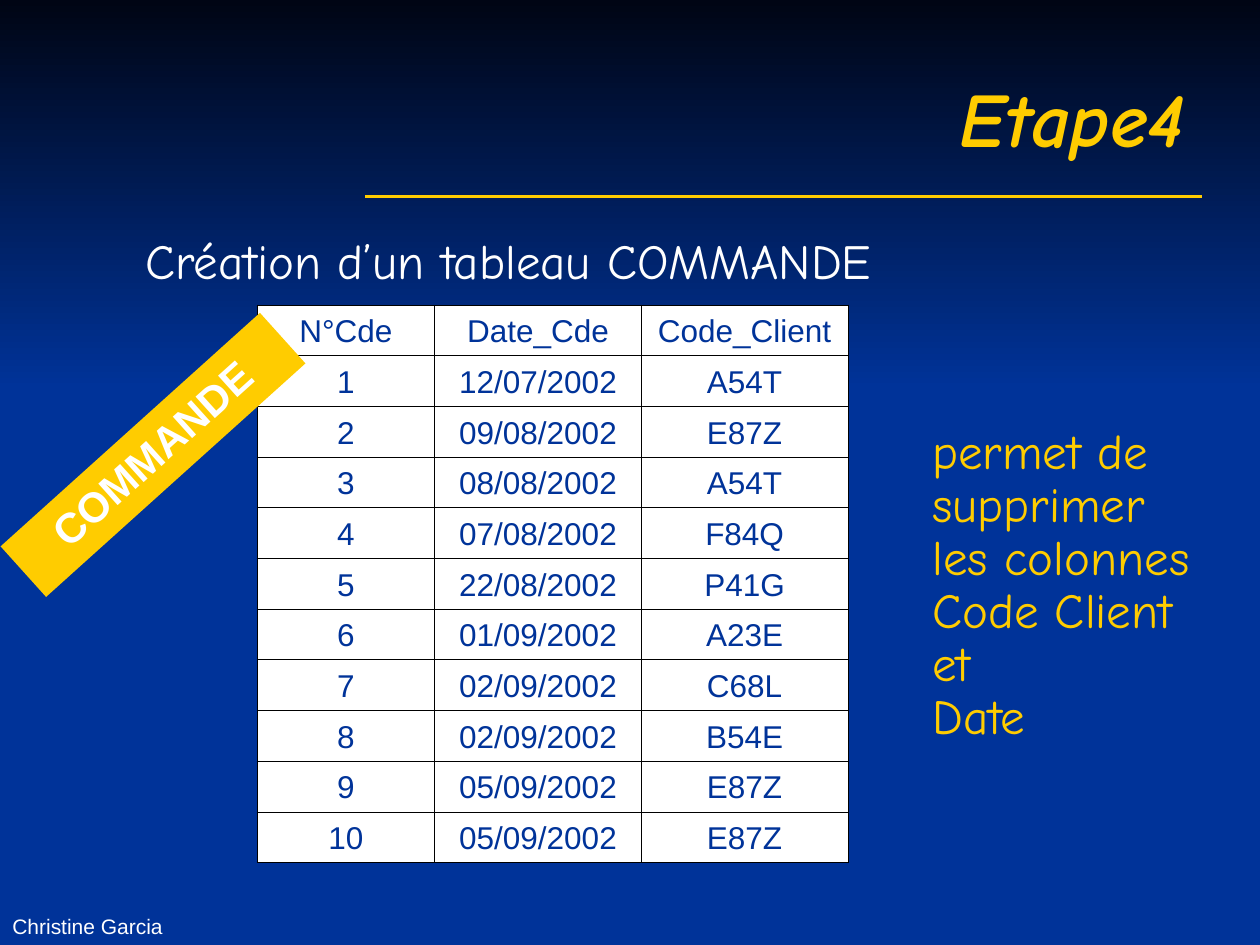
from dataclasses import dataclass

from lxml.etree import SubElement
from pptx import Presentation
from pptx.dml.color import RGBColor
from pptx.enum.shapes import MSO_CONNECTOR, MSO_SHAPE
from pptx.enum.text import MSO_ANCHOR, PP_ALIGN
from pptx.oxml.ns import qn
from pptx.util import Inches, Pt


@dataclass(frozen=True)
class Theme:
    night: RGBColor = RGBColor.from_string("000514")
    blue: RGBColor = RGBColor.from_string("003399")
    gold: RGBColor = RGBColor.from_string("FFCC00")
    white: RGBColor = RGBColor.from_string("FFFFFF")
    border: str = "000000"
    border_width: Pt = Pt(0.45)
    hand: str = "Comic Neue"
    plain: str = "Arial"
    title: Pt = Pt(44)
    body: Pt = Pt(28)
    label: Pt = Pt(24)
    cell: Pt = Pt(18)
    footer: Pt = Pt(12)


THEME = Theme()

ORDERS = [
    ("N°Cde", "Date_Cde", "Code_Client"),
    ("1", "12/07/2002", "A54T"),
    ("2", "09/08/2002", "E87Z"),
    ("3", "08/08/2002", "A54T"),
    ("4", "07/08/2002", "F84Q"),
    ("5", "22/08/2002", "P41G"),
    ("6", "01/09/2002", "A23E"),
    ("7", "02/09/2002", "C68L"),
    ("8", "02/09/2002", "B54E"),
    ("9", "05/09/2002", "E87Z"),
    ("10", "05/09/2002", "E87Z"),
]
COLUMN_WIDTHS = (1.41, 1.64, 1.64)
ADVICE = "\v".join(
    ["permet de", "supprimer", "les colonnes", "Code Client", "et", "Date"]
)


def set_values(target, values):
    for name, value in values.items():
        setattr(target, name, value)


def write_text(frame, text, color, font, paragraph=None):
    para = frame.paragraphs[0]
    para.text = text
    set_values(para, paragraph or {})
    for span in para.runs:
        set_values(span.font, font)
        span.font.color.rgb = color


def add_text(page, bounds, text, color, font, paragraph=None, frame=None):
    box = page.shapes.add_textbox(*map(Inches, bounds))
    set_values(box.text_frame, {"word_wrap": True, **(frame or {})})
    write_text(box.text_frame, text, color, font, paragraph)


def add_rectangle(page, bounds):
    box = page.shapes.add_shape(MSO_SHAPE.RECTANGLE, *map(Inches, bounds))
    box.shadow.inherit = False
    box.line.fill.background()
    return box


def add_backdrop(page):
    page.background.fill.solid()
    page.background.fill.fore_color.rgb = THEME.blue
    fill = add_rectangle(page, (0, 0, 10, 3.09)).fill
    fill.gradient()
    fill.gradient_angle = 270
    for stop, color, position in zip(
        fill.gradient_stops, (THEME.night, THEME.blue), (0, 1)
    ):
        stop.color.rgb = color
        stop.position = position


def add_rule(page, start, end):
    rule = page.shapes.add_connector(
        MSO_CONNECTOR.STRAIGHT, *map(Inches, start + end)
    )
    rule.line.color.rgb = THEME.gold
    rule.line.width = Pt(2)
    SubElement(rule._element.spPr, qn("a:effectLst"))


def add_banner(page, bounds, text):
    banner = add_rectangle(page, bounds)
    banner.rotation = 318
    banner.fill.solid()
    banner.fill.fore_color.rgb = THEME.gold
    banner.text_frame.vertical_anchor = MSO_ANCHOR.TOP
    write_text(
        banner.text_frame,
        text,
        THEME.white,
        {"name": THEME.plain, "size": THEME.label, "bold": True},
        {"alignment": PP_ALIGN.CENTER},
    )


def set_borders(cell):
    properties = cell._tc.get_or_add_tcPr()
    for side in ("lnL", "lnR", "lnT", "lnB"):
        line = SubElement(
            properties, qn(f"a:{side}"), w=str(THEME.border_width)
        )
        fill = SubElement(line, qn("a:solidFill"))
        SubElement(fill, qn("a:srgbClr"), val=THEME.border)


def add_orders(page, left, top, height):
    table = page.shapes.add_table(
        len(ORDERS),
        len(COLUMN_WIDTHS),
        *map(Inches, (left, top, sum(COLUMN_WIDTHS), height)),
    ).table
    set_values(table, {"first_row": False, "horz_banding": False})
    for column, width in zip(table.columns, COLUMN_WIDTHS):
        column.width = Inches(width)
    for row, values in zip(table.rows, ORDERS):
        for cell, value in zip(row.cells, values):
            set_borders(cell)
            cell.fill.solid()
            cell.fill.fore_color.rgb = THEME.white
            cell.vertical_anchor = MSO_ANCHOR.BOTTOM
            write_text(
                cell.text_frame,
                value,
                THEME.blue,
                {"name": THEME.plain, "size": THEME.cell},
                {"alignment": PP_ALIGN.CENTER},
            )


def main():
    deck = Presentation()
    deck.slide_width, deck.slide_height = Inches(10), Inches(7.5)
    page = deck.slides.add_slide(deck.slide_layouts[6])
    body_font = {"name": THEME.hand, "size": THEME.body}

    add_backdrop(page)
    add_rule(page, (2.9, 1.56), (9.54, 1.56))
    add_text(
        page, (0.5, 0.3, 9, 1.25), "Etape4", THEME.gold,
        {"name": THEME.hand, "size": THEME.title, "bold": True, "italic": True},
        {"alignment": PP_ALIGN.RIGHT},
        {"vertical_anchor": MSO_ANCHOR.MIDDLE},
    )
    add_text(
        page, (1.06, 1.78, 7.1, 0.64), "Création d’un tableau COMMANDE",
        THEME.white, body_font,
    )
    add_orders(page, 2.04, 2.42, 4.43)
    add_banner(page, (-0.17, 3.34, 2.77, 0.54), "COMMANDE")
    add_text(
        page, (6.92, 3.34, 2.67, 3.09), ADVICE, THEME.gold, body_font,
        {"line_spacing": 0.9},
        {"margin_left": Inches(0.48)},
    )
    add_text(
        page, (0, 6.98, 3.17, 0.52), "Christine Garcia", THEME.white,
        {"name": THEME.plain, "size": THEME.footer},
        frame={"vertical_anchor": MSO_ANCHOR.BOTTOM},
    )
    deck.save("out.pptx")


if __name__ == "__main__":
    main()
